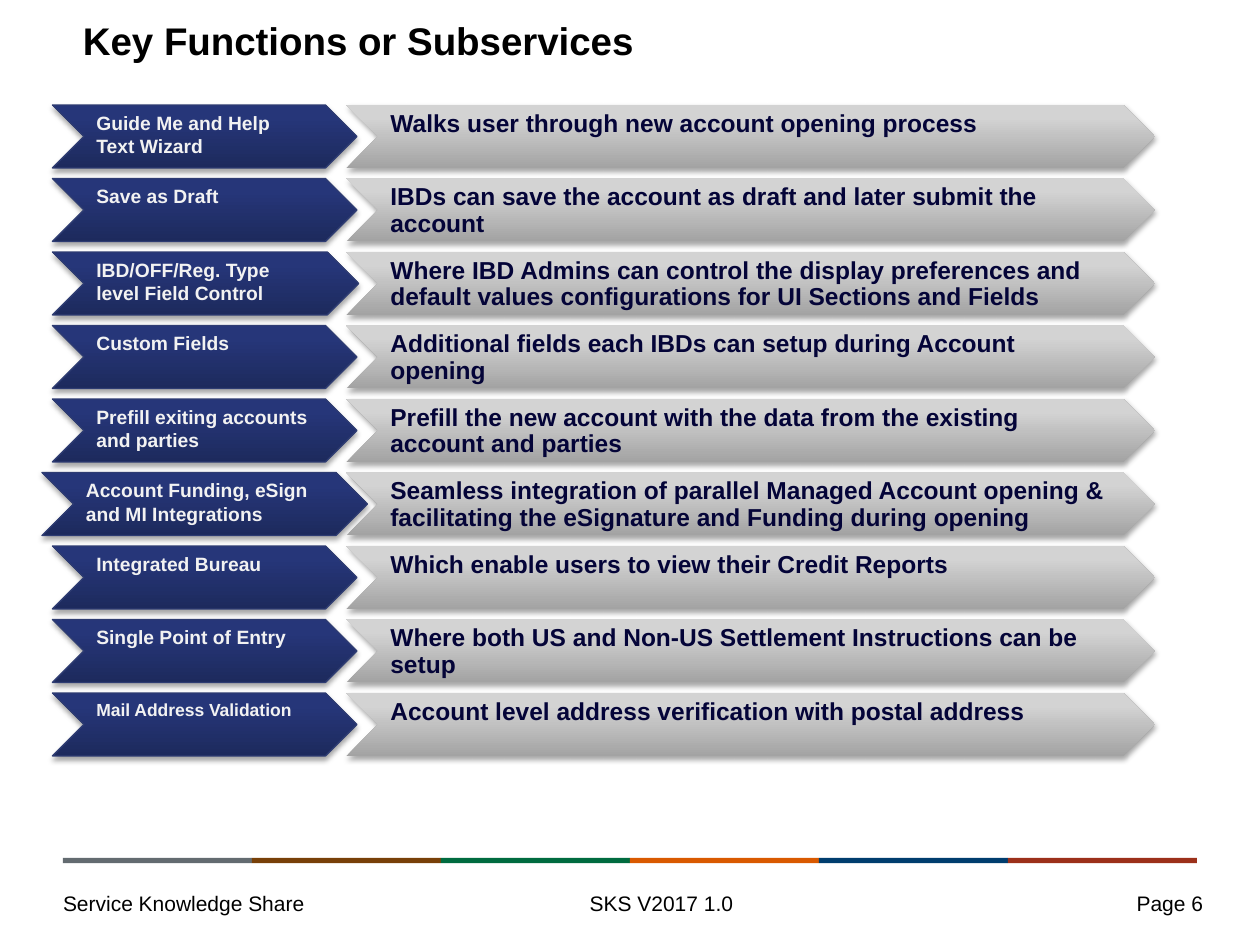
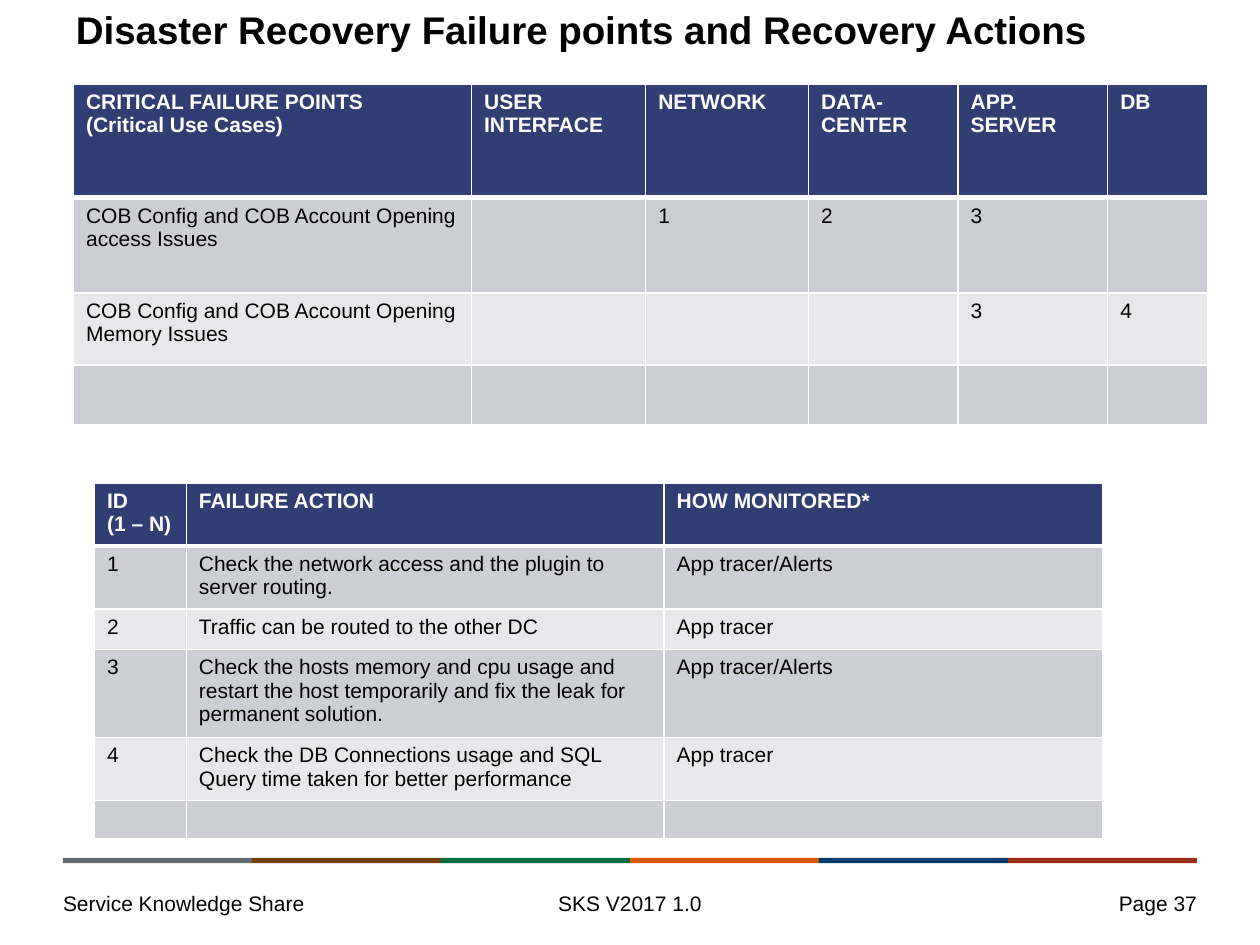
from lxml import etree
from pptx import Presentation
from pptx.dml.color import RGBColor
from pptx.enum import shapes, text
from pptx.oxml import ns
from pptx.util import Pt

FONT = "Arial"
BLACK, WHITE = "000000", "FFFFFF"
HEADER_FILL, BANDS = "313E73", ("CDCED5", "E8E8EB")
FOOTER_BARS = ("636B70", "784008", "006B3F", "D95900", "003D6E", "9C301A")
NAVY = ((0, "1D2A5D"), (80, "263679"), (100, "24367B"))
SILVER = ((0, "A3A3A3"), (80, "D3D3D3"), (100, "D4D4D4"))
NAVY_LINE = "2E3C72"

FUNCTIONS = (
    ("Guide Me and Help Text Wizard", "Walks user through new account opening process"),
    ("Save as Draft", "IBDs can save the account as draft and later submit the account"),
    ("IBD/OFF/Reg. Type level Field Control",
     "Where IBD Admins can control the display preferences and default values "
     "configurations for UI Sections and Fields"),
    ("Custom Fields", "Additional fields each IBDs can setup during Account opening"),
    ("Prefill exiting accounts and parties",
     "Prefill the new account with the data from the existing account and parties"),
    ("Account Funding, eSign and MI Integrations",
     "Seamless integration of parallel Managed Account opening & "
     "facilitating the eSignature and Funding during opening"),
    ("Integrated Bureau", "Which enable users to view their Credit Reports"),
    ("Single Point of Entry",
     "Where both US and Non-US Settlement Instructions can be setup"),
    ("Mail Address Validation", "Account level address verification with postal address"),
)
LABEL_SPANS = {2: (30, 175), 5: (24, 186)}
LABEL_SIZES = {8: 10}

FAILURE_POINTS = (
    ("CRITICAL FAILURE POINTS\n(Critical Use Cases)", "USER INTERFACE", "NETWORK",
     "DATA-CENTER", "APP. SERVER", "DB"),
    ("COB Config and COB Account Opening access Issues", "", "1", "2", "3", ""),
    ("COB Config and COB Account Opening Memory Issues", "", "", "", "3", "4"),
    ("",) * 6,
)
RECOVERY_ACTIONS = (
    ("ID\n(1 – N)", "FAILURE ACTION", "HOW MONITORED*"),
    ("1", "Check the network access and the plugin to server routing.", "App tracer/Alerts"),
    ("2", "Traffic can be routed to the other DC", "App tracer"),
    ("3", "Check the hosts memory and cpu usage and restart the host temporarily "
     "and fix the leak for permanent solution.", "App tracer/Alerts"),
    ("4", "Check the DB Connections usage and SQL Query time taken for better performance",
     "App tracer"),
    ("",) * 3,
)


def rgb(value):
    return RGBColor.from_string(value)


def sub(parent, tag, **attrs):
    return etree.SubElement(parent, ns.qn(tag), {k: str(v) for k, v in attrs.items()})


def write(tf, content, size=12, color=BLACK, bold=False,
          align=text.PP_ALIGN.LEFT, spacing=None):
    for i, line in enumerate(content.split("\n")):
        p = tf.add_paragraph() if i else tf.paragraphs[0]
        p.alignment = align
        if spacing:
            p.line_spacing = spacing
        if not line:
            p._p.get_or_add_endParaRPr().set("sz", str(size * 100))
            continue
        r = p.add_run()
        r.text = line
        r.font.name, r.font.size, r.font.bold = FONT, Pt(size), bold
        r.font.color.rgb = rgb(color)


def add_text(s, box, content, left=7.2, right=7.2,
             anchor=text.MSO_ANCHOR.MIDDLE, **fmt):
    tf = s.shapes.add_textbox(*map(Pt, box)).text_frame
    tf.word_wrap = True
    tf.vertical_anchor = anchor
    tf.margin_left, tf.margin_right = Pt(left), Pt(right)
    write(tf, content, **fmt)


def add_shape(s, kind, box):
    sp = s.shapes.add_shape(kind, *map(Pt, box))
    sp.shadow.inherit = False
    sp.line.fill.background()
    return sp


def add_chevron(s, box, stops, content, line=None, **fmt):
    sp = add_shape(s, shapes.MSO_SHAPE.CHEVRON, box)
    if line:
        sp.line.color.rgb = rgb(line)
        sp.line.width = Pt(0.75)
    props = sp._element.spPr
    grad = etree.Element(ns.qn("a:gradFill"), rotWithShape="1")
    stop_list = sub(grad, "a:gsLst")
    for position, color in stops:
        sub(sub(stop_list, "a:gs", pos=position * 1000), "a:srgbClr", val=color)
    sub(grad, "a:lin", ang=270 * 60000, scaled=0)
    props.find(ns.qn("a:prstGeom")).addnext(grad)
    shadow = sub(props.find(ns.qn("a:effectLst")), "a:outerShdw", blurRad=Pt(3.1),
                 dist=Pt(1.8), dir=90 * 60000, rotWithShape=0)
    sub(sub(shadow, "a:srgbClr", val=BLACK), "a:alpha", val=35000)
    tf = sp.text_frame
    tf.word_wrap = True
    tf.vertical_anchor = text.MSO_ANCHOR.TOP
    write(tf, content, bold=True, **fmt)


def add_border(cell, side, width):
    ln = sub(cell._tc.get_or_add_tcPr(), f"a:ln{side}", w=Pt(width))
    sub(sub(ln, "a:solidFill"), "a:srgbClr", val=WHITE)


def add_table(s, left, top, widths, heights, rows):
    table = s.shapes.add_table(len(rows), len(widths), Pt(left), Pt(top),
                               Pt(sum(widths)), Pt(sum(heights))).table
    for column, width in zip(table.columns, widths):
        column.width = Pt(width)
    for i, (values, height) in enumerate(zip(rows, heights)):
        table.rows[i].height = Pt(height)
        header = i == 0
        for j, value in enumerate(values):
            cell = table.cell(i, j)
            for side, heavy in (("L", False), ("R", False), ("T", i == 1), ("B", header)):
                add_border(cell, side, 3 if heavy else 1)
            cell.fill.solid()
            cell.fill.fore_color.rgb = rgb(HEADER_FILL if header else BANDS[(i - 1) % 2])
            write(cell.text_frame, value, color=WHITE if header else BLACK, bold=header)


def add_page(prs, title, title_at, page, page_left, version_left):
    s = prs.slides.add_slide(prs.slide_layouts[6])
    add_text(s, (36, 504, 270, 24), "Service Knowledge Share", left=0)
    for i, color in enumerate(FOOTER_BARS):
        bar = add_shape(s, shapes.MSO_SHAPE.RECTANGLE, (36 + 108 * i, 490.2, 108, 3))
        bar.fill.solid()
        bar.fill.fore_color.rgb = rgb(color)
    add_text(s, (*title_at, 648, 33.5), title, size=22, bold=True,
             anchor=text.MSO_ANCHOR.BOTTOM)
    add_text(s, (page_left, 504, 78, 24), f"Page {page}", right=0,
             align=text.PP_ALIGN.RIGHT)
    add_text(s, (version_left, 504, 228, 24), "SKS V2017 1.0",
             align=text.PP_ALIGN.CENTER)
    return s


def main():
    prs = Presentation()
    prs.slide_width, prs.slide_height = Pt(720), Pt(540)

    s = add_page(prs, "Key Functions or Subservices", (40.3, 6), 6, 609.5, 264)
    for i, (label, description) in enumerate(FUNCTIONS):
        top = 60 + 42 * i
        left, width = LABEL_SPANS.get(i, (30, 174))
        add_chevron(s, (left, top, width, 36), NAVY, label, line=NAVY_LINE,
                    size=LABEL_SIZES.get(i, 11), color="F2F2F2")
        add_chevron(s, (198, top, 462, 36), SILVER, description,
                    size=14, color="040438", spacing=0.9)

    s = add_page(prs, "Disaster Recovery Failure points and Recovery Actions",
                 (36.3, 0), 37, 606, 246)
    add_table(s, 42, 48, (227.5, 99.5, 93, 85.5, 85.5, 57),
              (65, 54.5, 41, 34.5), FAILURE_POINTS)
    add_table(s, 54, 276, (52.5, 273, 250.5),
              (36, 31, 23, 21.5, 21.5, 21.5), RECOVERY_ACTIONS)

    prs.save("out.pptx")


if __name__ == "__main__":
    main()
